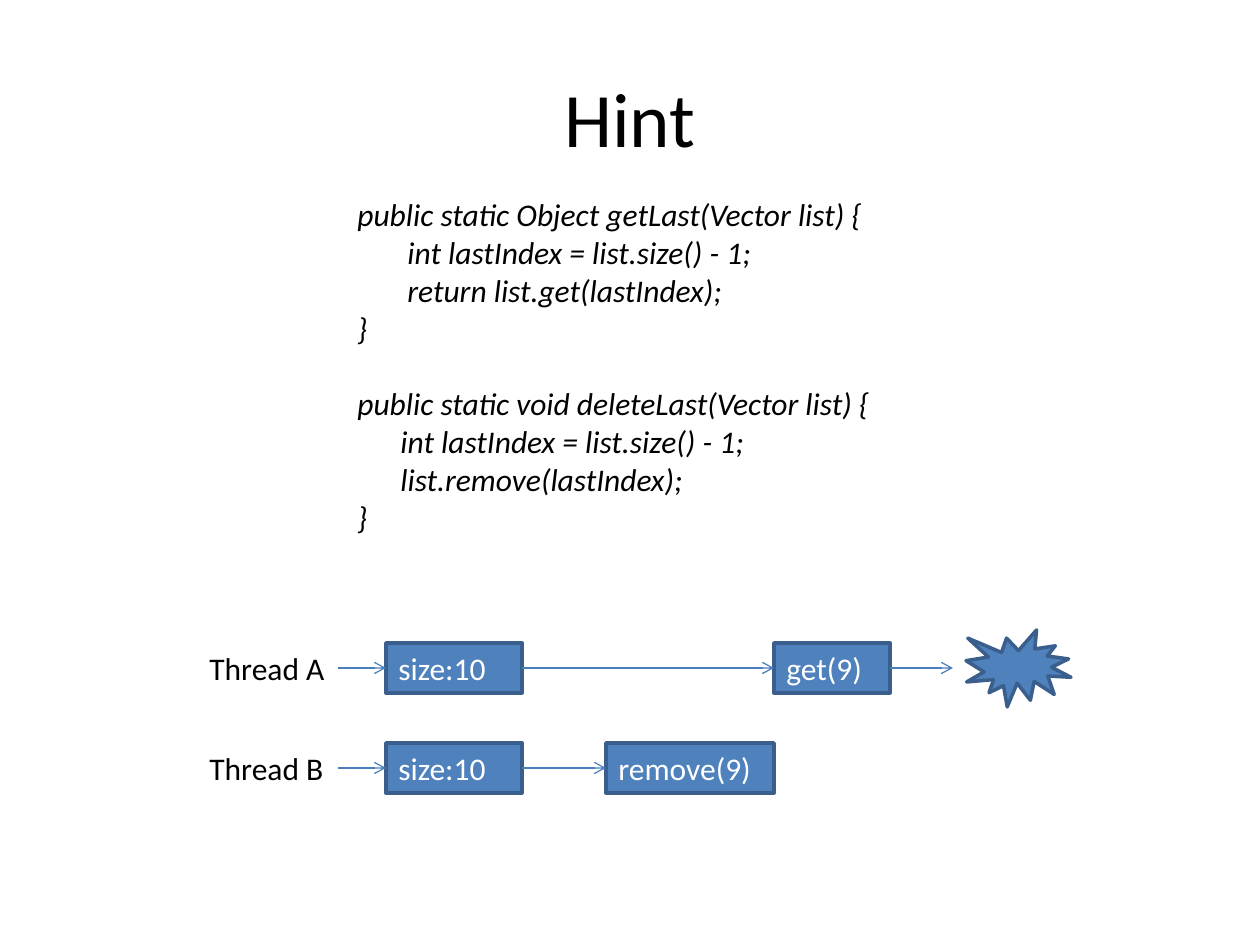
from pptx import Presentation
from pptx.dml.color import RGBColor
from pptx.enum.shapes import MSO_CONNECTOR, MSO_SHAPE
from pptx.enum.text import MSO_ANCHOR, PP_ALIGN
from pptx.oxml.ns import qn
from pptx.util import Pt
from lxml.etree import SubElement

PX = 914400 // 126
THEME = {
    "font": "Calibri", "ink": "000000", "light": "FFFFFF",
    "fill": "4F81BD", "edge": "3A5F8C", "arrow": "4B7EBC",
    "title": 44, "body": 18, "gap": 21.6, "border": 2, "thin": 0.75,
}
TITLE = "Hint"
METHODS = [
    (50, "public static Object getLast(Vector list) {",
     ["int lastIndex = list.size() - 1;", "return list.get(lastIndex);"]),
    (43, "public static void deleteLast(Vector list) {",
     ["int lastIndex = list.size() - 1;", "list.remove(lastIndex);"]),
]
THREADS = [
    ("Thread A", [("size:10", 386, 136), ("get(9)", 774, 116)], 953),
    ("Thread B", [("size:10", 386, 136), ("remove(9)", 606, 168)], None),
]
LABEL, START, TOP, STEP, HIGH = 197, 338, 643, 100, 50
BURST = (966, 630, 105, 77)


def px(*nums):
    return [n * PX for n in nums]


def color(name):
    return RGBColor.from_string(THEME[name])


def style(para, size="body", ink="ink", **extra):
    look = {"name": THEME["font"], "size": Pt(THEME[size]), **extra}
    for key, val in look.items():
        setattr(para.font, key, val)
    para.font.color.rgb = color(ink)


def frame(item, **extra):
    for key, val in extra.items():
        setattr(item.text_frame, key, val)
    return item.text_frame


def label(text, *place):
    body = frame(slide.shapes.add_textbox(*px(*place)), word_wrap=False)
    body.text = text
    style(body.paragraphs[0])


def solid(kind, *place):
    item = slide.shapes.add_shape(kind, *px(*place))
    item.shadow.inherit = False
    item.fill.solid()
    item.fill.fore_color.rgb = color("fill")
    item.line.color.rgb = color("edge")
    item.line.width = Pt(THEME["border"])
    return item


def box(text, *place):
    item = solid(MSO_SHAPE.RECTANGLE, *place)
    body = frame(item, word_wrap=True, vertical_anchor=MSO_ANCHOR.TOP)
    body.text = text
    para = body.paragraphs[0]
    para.alignment = PP_ALIGN.LEFT
    style(para, ink="light")


def arrow(left, right, y):
    link = slide.shapes.add_connector(MSO_CONNECTOR.STRAIGHT, *px(left, y, right, y))
    link.line.color.rgb = color("arrow")
    link.line.width = Pt(THEME["thin"])
    SubElement(link.line._get_or_add_ln(), qn("a:tailEnd"), type="arrow")
    SubElement(link._element.spPr, qn("a:effectLst"))


deck = Presentation()
deck.slide_width, deck.slide_height = px(1260, 945)
slide = deck.slides.add_slide(deck.slide_layouts[5])

title = slide.shapes.title
title.left, title.top, title.width, title.height = px(63, 38, 1134, 157)
head = frame(title, text=TITLE, vertical_anchor=MSO_ANCHOR.MIDDLE)
head.paragraphs[0].alignment = PP_ALIGN.CENTER
style(head.paragraphs[0], size="title")

code = frame(slide.shapes.add_textbox(*px(345, 189, 548, 357)), word_wrap=False)
lines = []
for indent, top, inner in METHODS:
    gap = THEME["gap"] if lines else 0
    lines += [(top, 0, gap), *[(text, indent, 0) for text in inner], ("}", 0, 0)]
for num, (text, indent, gap) in enumerate(lines):
    para = code.add_paragraph() if num else code.paragraphs[0]
    para.text = text
    para.space_before = Pt(gap)
    props = para._p.get_or_add_pPr()
    props.set("marL", str(indent * PX))
    props.set("indent", "0")
    style(para, italic=True)

for row, (name, calls, end) in enumerate(THREADS):
    y = TOP + row * STEP
    mid = y + HIGH // 2
    label(name, LABEL, y, 142, HIGH)
    last = START
    for text, left, width in calls:
        box(text, left, y, width, HIGH)
        arrow(last, left, mid)
        last = left + width
    if end:
        arrow(last, end, mid)

solid(MSO_SHAPE.EXPLOSION1, *BURST)
deck.save("out.pptx")
